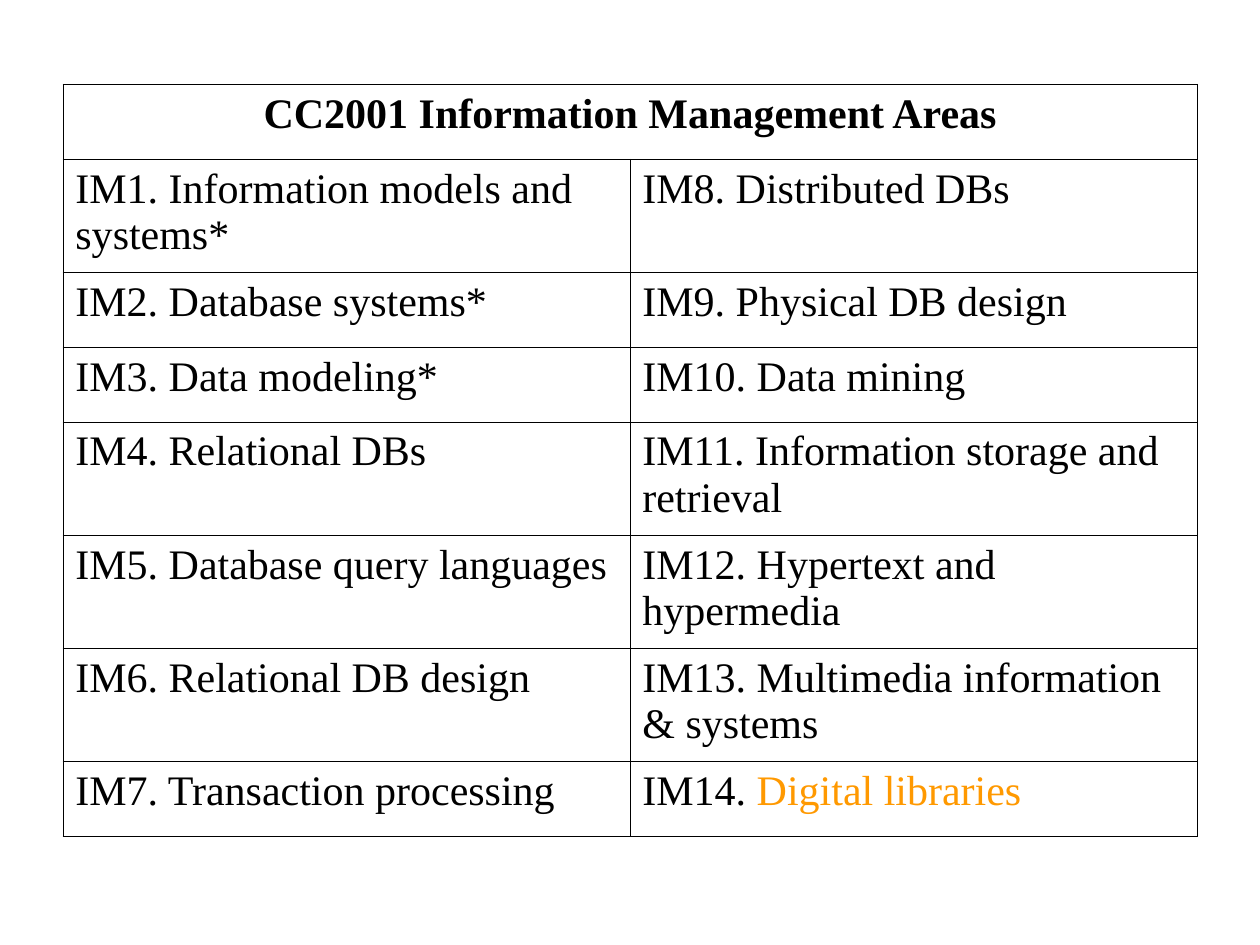
"""Build a slide with the table of CC2001 information management areas."""
from lxml.etree import SubElement
from pptx import Presentation
from pptx.dml.color import RGBColor
from pptx.enum.text import PP_ALIGN
from pptx.oxml.ns import qn
from pptx.util import Cm, Pt

BLACK = RGBColor(0x00, 0x00, 0x00)
ORANGE = RGBColor(0xFF, 0x99, 0x00)
THIN, MEDIUM = Pt(0.34), Pt(0.45)

TITLE = "CC2001 Information Management Areas"
AREAS = [
    ("IM1. Information models and systems*", "IM8. Distributed DBs"),
    ("IM2. Database systems*", "IM9. Physical DB design"),
    ("IM3. Data modeling*", "IM10. Data mining"),
    ("IM4. Relational DBs", "IM11. Information storage and retrieval"),
    ("IM5. Database query languages", "IM12. Hypertext and hypermedia"),
    ("IM6. Relational DB design", "IM13. Multimedia information & systems"),
    ("IM7. Transaction processing", "IM14. "),
]
HIGHLIGHT = "Digital libraries"
SHORT_ROW, TALL_ROW = Cm(1.51), Cm(2.28)
TALL_ROWS = {1, 4, 5, 6}


def add_borders(cell, widths):
    properties = cell._tc.get_or_add_tcPr()
    for side, width in widths.items():
        line = SubElement(properties, qn(f"a:ln{side}"), w=str(width))
        fill = SubElement(line, qn("a:solidFill"))
        SubElement(fill, qn("a:srgbClr"), val=str(BLACK))


def format_run(run, color=BLACK, bold=False):
    run.font.name = "Times New Roman"
    run.font.size = Pt(24)
    run.font.bold = bold
    run.font.color.rgb = color


prs = Presentation()
prs.slide_width, prs.slide_height = Cm(25.4), Cm(19.05)
slide = prs.slides.add_slide(prs.slide_layouts[6])

row_count = len(AREAS) + 1
heights = [TALL_ROW if row in TALL_ROWS else SHORT_ROW for row in range(row_count)]
areas_table = slide.shapes.add_table(
    row_count, 2, Cm(1.27), Cm(1.7), Cm(22.86), sum(heights)
).table
areas_table.first_row = False
areas_table.horz_banding = False
for column in areas_table.columns:
    column.width = Cm(11.43)
for row, height in zip(areas_table.rows, heights):
    row.height = height

for row_index, texts in enumerate([(TITLE, ""), *AREAS]):
    is_title = row_index == 0
    for column_index, text in enumerate(texts):
        cell = areas_table.cell(row_index, column_index)
        cell.margin_left = cell.margin_right = Cm(0.25)
        cell.margin_top = cell.margin_bottom = Cm(0.13)
        add_borders(cell, {
            "L": MEDIUM if column_index == 0 else THIN,
            "R": MEDIUM if is_title or column_index == 1 else THIN,
            "T": MEDIUM if row_index <= 1 else THIN,
            "B": MEDIUM if is_title or row_index == row_count - 1 else THIN,
        })
        cell.fill.background()
        cell.text_frame.text = text
        for run in cell.text_frame.paragraphs[0].runs:
            format_run(run, bold=is_title)

title_cell = areas_table.cell(0, 0)
title_cell.merge(areas_table.cell(0, 1))
title_cell.text_frame.paragraphs[0].alignment = PP_ALIGN.CENTER

last_area = areas_table.cell(row_count - 1, 1).text_frame.paragraphs[0]
highlight = last_area.add_run()
highlight.text = HIGHLIGHT
format_run(highlight, ORANGE)

prs.save("out.pptx")
